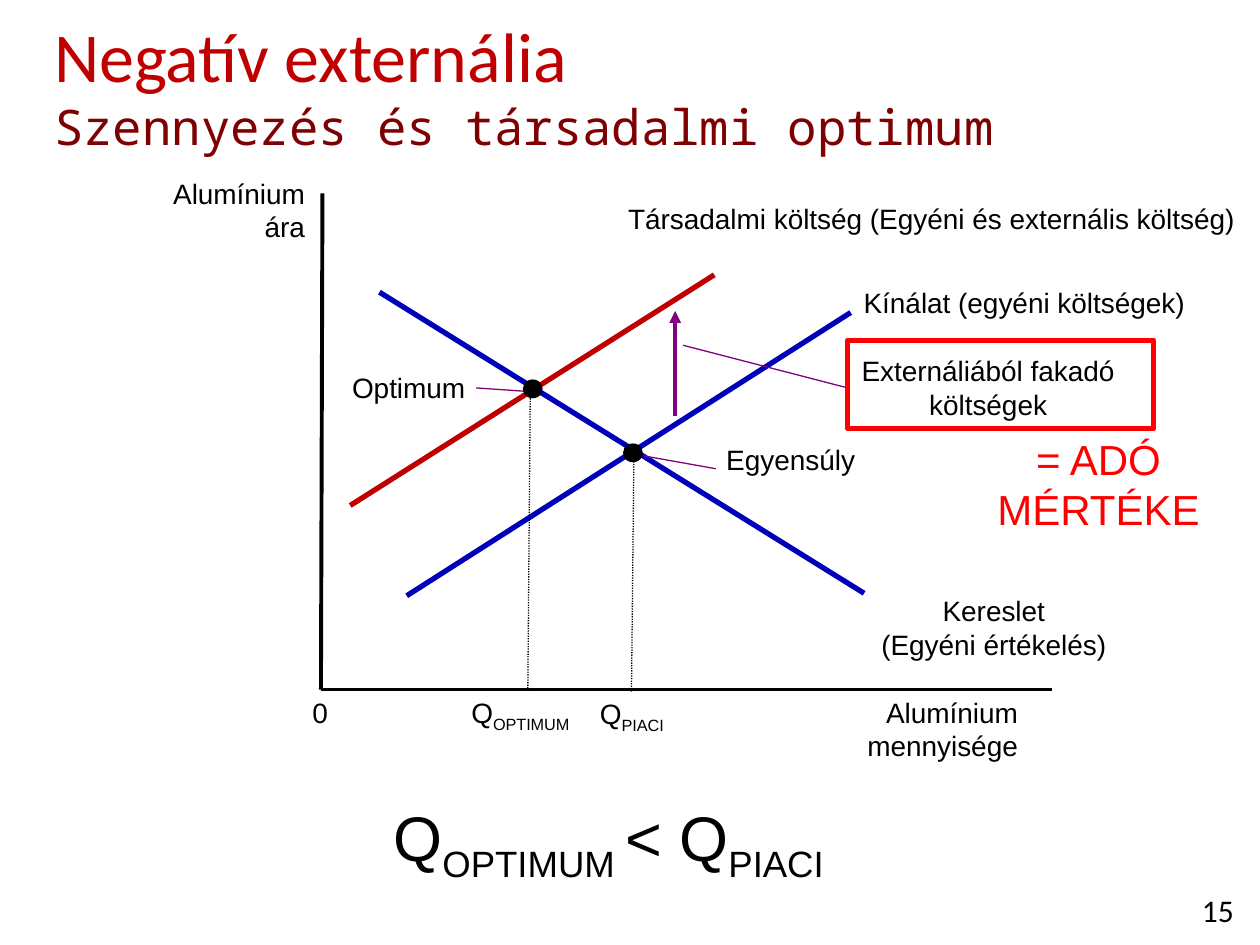
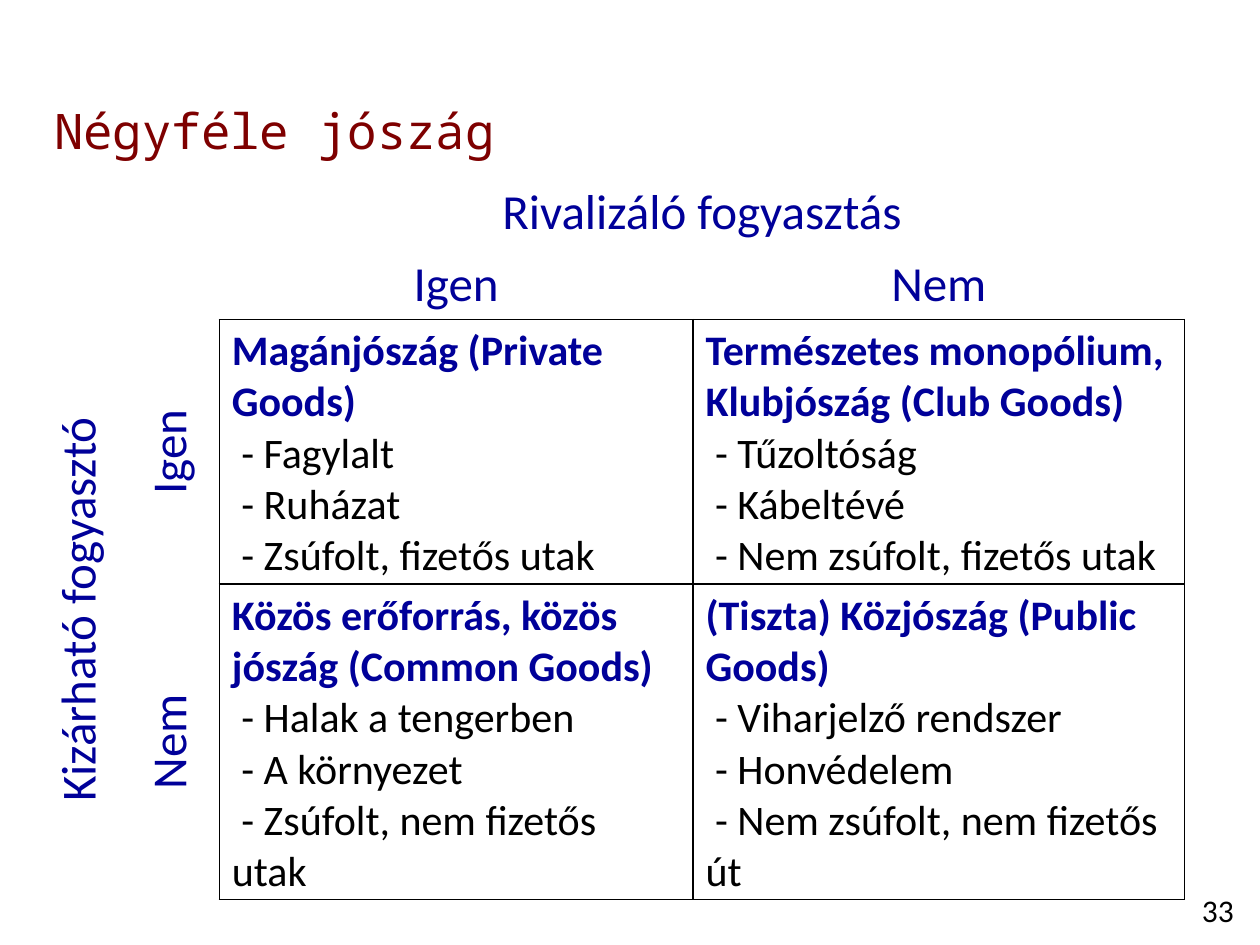
from lxml.etree import SubElement
from pptx import Presentation
from pptx.dml.color import RGBColor
from pptx.enum.dml import MSO_LINE
from pptx.enum.shapes import MSO_CONNECTOR, MSO_SHAPE
from pptx.enum.text import MSO_ANCHOR, MSO_AUTO_SIZE, PP_ALIGN
from pptx.oxml import parse_xml
from pptx.oxml.ns import nsdecls, qn
from pptx.util import Cm, Pt

# Shared style
BLACK, RED, CRIMSON, MAROON = "000000", "FF0000", "C00000", "7E0000"
CURVE_BLUE, TABLE_BLUE, PURPLE, WHITE = "0000B8", "000099", "800080", "FFFFFF"
SANS, BODY, MONO = "Arial", "Calibri", "Noto Sans Mono"
LEFT, CENTER, RIGHT = PP_ALIGN.LEFT, PP_ALIGN.CENTER, PP_ALIGN.RIGHT
NO_TABLE_STYLE = "{2D5ABB26-0587-4C30-8999-92F81FD0307C}"

# Slide 1 content; lengths in cm, text between underscores is subscript
EXTERNALITY_TITLE = [
    ("Negatív externália", dict(size=40, font=BODY, color=CRIMSON)),
    ("Szennyezés és társadalmi optimum", dict(size=28, font=MONO, color=MAROON)),
]
ORIGIN = (6.47, 13.9)
OPTIMUM, EQUILIBRIUM = (10.74, 7.84), (12.76, 9.13)

# start, end, colour, width in points
AXES = [
    ((6.5, 3.9), ORIGIN, BLACK, 2.25),
    (ORIGIN, (21.2, 13.9), BLACK, 2.25),
]
CURVES = [
    ((7.65, 5.89), (17.42, 11.96), CURVE_BLUE, 3),
    ((8.2, 12.01), (17.15, 6.3), CURVE_BLUE, 3),
    ((7.06, 10.19), (14.4, 5.54), CRIMSON, 3),
]
LEADERS = [
    ((9.6, 7.82), (10.77, 7.9), PURPLE, 0.75),
    ((12.98, 9.19), (14.43, 9.45), PURPLE, 0.75),
    ((13.77, 6.96), (17.09, 7.82), PURPLE, 0.75),
]
DROP_LINES = [
    ((10.69, 7.82), (10.64, 13.94), BLACK, 0.75),
    ((12.78, 9.04), (12.73, 13.94), BLACK, 0.75),
]
TAX_ARROW = ((13.61, 8.38), (13.61, 6.27), PURPLE, 2.25)
TAX_FRAME = (17.09, 6.86, 6.17, 1.78)

# paragraphs, box, format
LABELS = [
    (["Alumínium ára"], (3.12, 3.43, 3.28, 1.63), dict(align=RIGHT, wrap=True)),
    (["Alumínium mennyisége"], (17.09, 13.89, 3.68, 1.63), dict(align=RIGHT, wrap=True)),
    (["0"], (6.05, 13.89, 0.84, 0.94), dict(align=LEFT)),
    (["Kereslet", "(Egyéni értékelés)"], (17.48, 11.84, 5.11, 1.63), {}),
    (["Kínálat (egyéni költségek)"], (17.12, 5.64, 7.06, 0.94), {}),
    (["Társadalmi költség (Egyéni és externális költség)"], (12.19, 3.94, 13.18, 0.94), {}),
    (["Externáliából fakadó", "költségek"], (17.09, 7.01, 5.66, 1.63), {}),
    (["Optimum"], (6.83, 7.34, 2.82, 0.94), {}),
    (["Egyensúly"], (14.38, 8.79, 3.12, 0.94), {}),
    (["Q_OPTIMUM_"], (9.12, 13.89, 2.74, 0.94), {}),
    (["Q_PIACI_"], (11.76, 13.92, 1.96, 0.94), {}),
    (["= ADÓ MÉRTÉKE"], (18.92, 8.61, 6.45, 2.31), dict(size=24, color=RED, wrap=True)),
    (["Q_OPTIMUM _< Q_PIACI_"], (0.99, 15.98, 22.56, 1.8), dict(size=36, wrap=True)),
]

# Slide 2 content
GOODS_TITLE = [("Négyféle jószág", dict(size=28, font=MONO, color=MAROON))]
RIVALRY, EXCLUDABILITY = "Rivalizáló fogyasztás", "Kizárható fogyasztó"
ANSWERS = ["Igen", "Nem"]
GOODS = [
    [("Magánjószág (Private Goods)",
      ["Fagylalt", "Ruházat", "Zsúfolt, fizetős utak"]),
     ("Természetes monopólium, Klubjószág (Club Goods)",
      ["Tűzoltóság", "Kábeltévé", "Nem zsúfolt, fizetős utak"])],
    [("Közös erőforrás, közös jószág (Common Goods)",
      ["Halak a tengerben", "A környezet", "Zsúfolt, nem fizetős utak"]),
     ("(Tiszta) Közjószág (Public Goods)",
      ["Viharjelző rendszer", "Honvédelem", "Nem zsúfolt, nem fizetős út"])],
]
TABLE_CORNER = (0.86, 3.56)
COLUMN_WIDTHS = [1.83, 1.73, 9.55, 9.91]
ROW_HEIGHTS = [1.27, 1.27, 4.95, 4.95]


def rgb(color):
    return RGBColor.from_string(color)


def add_text(frame, text, first=False, size=16, font=SANS, color=BLACK,
             bold=False, align=LEFT):
    """Write one paragraph; underscores switch subscript on and off."""
    paragraph = frame.paragraphs[0] if first else frame.add_paragraph()
    paragraph.alignment = align
    for index, part in enumerate(text.split("_")):
        if not part:
            continue
        run = paragraph.add_run()
        run.text = part
        run.font.size, run.font.name, run.font.bold = Pt(size), font, bold
        run.font.color.rgb = rgb(color)
        if index % 2:
            run.font._element.set("baseline", "-25000")


def add_label(slide, paragraphs, box, wrap=False, align=CENTER, **style):
    frame = slide.shapes.add_textbox(*map(Cm, box)).text_frame
    frame.word_wrap = wrap
    for index, text in enumerate(paragraphs):
        add_text(frame, text, first=index == 0, align=align, **style)


def add_line(slide, start, end, color, width, dotted=False, arrow=False):
    line = slide.shapes.add_connector(
        MSO_CONNECTOR.STRAIGHT, *map(Cm, (*start, *end)))
    line.line.color.rgb = rgb(color)
    line.line.width = Pt(width)
    if dotted:
        line.line.dash_style = MSO_LINE.ROUND_DOT
    if arrow:
        SubElement(line.line._get_or_add_ln(), qn("a:tailEnd"), type="triangle")
    SubElement(line._element.spPr, qn("a:effectLst"))


def add_plain_shape(slide, kind, box, fill=None, outline=None):
    shape = slide.shapes.add_shape(kind, *map(Cm, box))
    shape.shadow.inherit = False
    if fill:
        shape.fill.solid()
        shape.fill.fore_color.rgb = rgb(fill)
    else:
        shape.fill.background()
    if outline:
        shape.line.color.rgb = rgb(outline)
        shape.line.width = Pt(3)
    else:
        shape.line.fill.background()


def add_slide(presentation, title_lines, title_top, number):
    slide = presentation.slides.add_slide(presentation.slide_layouts[5])
    slide.background.fill.solid()
    slide.background.fill.fore_color.rgb = rgb(WHITE)
    title = slide.shapes.title
    title.left, title.top, title.width, title.height = map(
        Cm, (0.84, title_top, 24.56, 1.47))
    frame = title.text_frame
    frame.auto_size = MSO_AUTO_SIZE.NONE
    frame.vertical_anchor = MSO_ANCHOR.TOP
    for index, (text, style) in enumerate(title_lines):
        add_text(frame, text, first=index == 0, **style)
    add_label(slide, [str(number)], (23.7, 17.83, 1.7, 1.02), wrap=True,
              size=18, font=BODY)
    return slide


def add_borders(cell):
    properties = cell._tc.get_or_add_tcPr()
    for index, side in enumerate("LRTB"):
        properties.insert(index, parse_xml(
            f'<a:ln{side} {nsdecls("a")} w="12700"><a:solidFill>'
            f'<a:srgbClr val="{BLACK}"/></a:solidFill></a:ln{side}>'))


def fill_heading(cell, text, vertical=False):
    add_text(cell.text_frame, text, first=True, size=28, font=BODY,
             color=TABLE_BLUE, align=CENTER)
    if vertical:
        cell.vertical_anchor = MSO_ANCHOR.MIDDLE
        cell._tc.get_or_add_tcPr().set("vert", "vert270")


def build_externality(presentation):
    slide = add_slide(presentation, EXTERNALITY_TITLE, 0.13, 15)
    for line in AXES + CURVES + LEADERS:
        add_line(slide, *line)
    for line in DROP_LINES:
        add_line(slide, *line, dotted=True)
    add_line(slide, *TAX_ARROW, arrow=True)
    # Marked points
    width, height = 0.4, 0.38
    for x, y in (OPTIMUM, EQUILIBRIUM):
        add_plain_shape(slide, MSO_SHAPE.OVAL,
                        (x - width / 2, y - height / 2, width, height), fill=BLACK)
    for paragraphs, box, style in LABELS:
        add_label(slide, paragraphs, box, **style)
    add_plain_shape(slide, MSO_SHAPE.RECTANGLE, TAX_FRAME, outline=RED)


def build_goods(presentation):
    slide = add_slide(presentation, GOODS_TITLE, 1.9, 33)
    size = (sum(COLUMN_WIDTHS), sum(ROW_HEIGHTS))
    table = slide.shapes.add_table(
        len(ROW_HEIGHTS), len(COLUMN_WIDTHS), *map(Cm, TABLE_CORNER + size)).table
    table.first_row = table.horz_banding = False
    table._tbl.tblPr.find(qn("a:tableStyleId")).text = NO_TABLE_STYLE
    for column, width in zip(table.columns, COLUMN_WIDTHS):
        column.width = Cm(width)
    for row, height in zip(table.rows, ROW_HEIGHTS):
        row.height = Cm(height)
    for cell in table.iter_cells():
        cell.fill.background()
    # Headings
    table.cell(0, 2).merge(table.cell(0, 3))
    table.cell(2, 0).merge(table.cell(3, 0))
    fill_heading(table.cell(0, 2), RIVALRY)
    fill_heading(table.cell(2, 0), EXCLUDABILITY, vertical=True)
    for index, answer in enumerate(ANSWERS, start=2):
        fill_heading(table.cell(1, index), answer)
        fill_heading(table.cell(index, 1), answer, vertical=True)
    # Four kinds of goods
    for row, kinds in enumerate(GOODS, start=2):
        for column, (kind, examples) in enumerate(kinds, start=2):
            cell = table.cell(row, column)
            add_borders(cell)
            add_text(cell.text_frame, kind, first=True, size=24, font=BODY,
                     color=TABLE_BLUE, bold=True)
            for example in examples:
                add_text(cell.text_frame, f" - {example}", size=24, font=BODY)


def main():
    presentation = Presentation()
    presentation.slide_width, presentation.slide_height = Cm(25.4), Cm(19.05)
    build_externality(presentation)
    build_goods(presentation)
    presentation.save("out.pptx")


if __name__ == "__main__":
    main()
